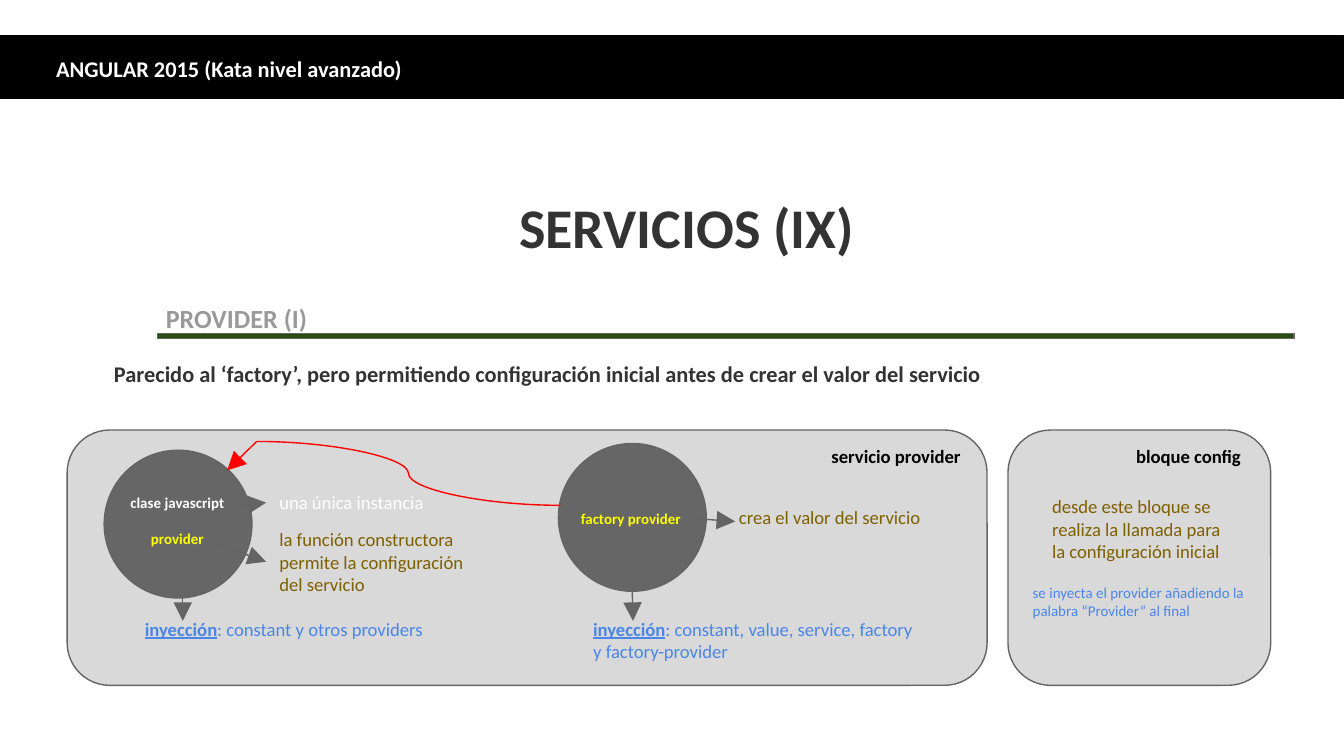
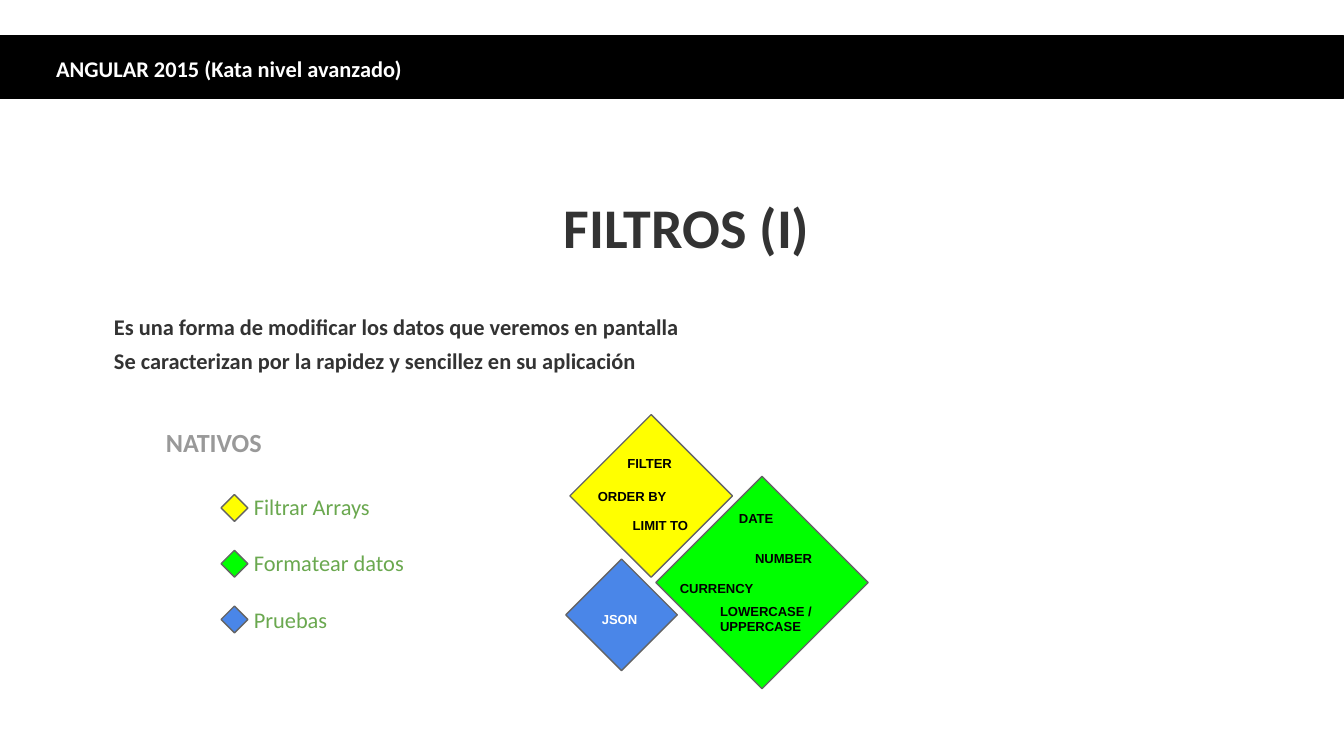
from dataclasses import dataclass, replace
from typing import NamedTuple

from lxml.etree import SubElement
from pptx import Presentation
from pptx.dml.color import RGBColor
from pptx.enum.shapes import MSO_CONNECTOR, MSO_SHAPE
from pptx.enum.text import MSO_ANCHOR, PP_ALIGN
from pptx.oxml.ns import qn
from pptx.util import Inches, Pt

# 16:9 page; every place below is given in columns and rows of a square grid
COLS, ROWS = 100, 56.25
prs = Presentation()
prs.slide_width, prs.slide_height = Inches(10), Inches(10) * 9 // 16

BLACK, WHITE, INK, MUTED = "000000", "FFFFFF", "333333", "999999"
OUTLINE, DISC, PANEL, RULE = "646464", "666666", "D9D9D9", "274E13"
YELLOW, LIME, BLUE, RED = "FFFF00", "00FF00", "4A86E8", "FF0000"
OCHRE, LEAF = "7F6000", "6AA84F"


class Box(NamedTuple):
    col: float
    row: float
    cols: float
    rows: float


class Point(NamedTuple):
    col: float
    row: float


@dataclass(frozen=True)
class Style:
    size: float
    color: str
    bold: bool = False
    font: str = "Calibri"
    align: PP_ALIGN = PP_ALIGN.LEFT
    underline: bool = False
    pad: float = 0.05
    anchor: MSO_ANCHOR = MSO_ANCHOR.TOP
    indent: float = 0


@dataclass(frozen=True)
class Label:
    box: Box
    lines: tuple[str, ...]
    style: Style


@dataclass(frozen=True)
class Diamond:
    col: float
    row: float
    side: float
    color: str


TITLE = Style(30, INK, True, align=PP_ALIGN.CENTER, anchor=MSO_ANCHOR.MIDDLE)
HEADER = Style(12, WHITE, True)
LEAD = Style(12, INK, True)
SECTION = Style(14, MUTED, True)
DISC_NAME = Style(8, WHITE, True, align=PP_ALIGN.CENTER)
DISC_ROLE = replace(DISC_NAME, color=YELLOW)
PANEL_NAME = Style(10, BLACK, True, align=PP_ALIGN.RIGHT)
NOTE = Style(10, OCHRE)
INJECTION = Style(10, BLUE)
LEGEND = Style(12, LEAF, indent=0.5)
TAG = Style(7, BLACK, True, font="Arial", pad=0.1, anchor=MSO_ANCHOR.MIDDLE)


def x(cols: float) -> int:
    return round(prs.slide_width * cols / COLS)


def y(rows: float) -> int:
    return round(prs.slide_height * rows / ROWS)


def rgb(color: str) -> RGBColor:
    return RGBColor.from_string(color)


def place(box: Box) -> tuple[int, int, int, int]:
    return x(box.col), y(box.row), x(box.cols), y(box.rows)


def add_shape(s, kind: MSO_SHAPE, box: Box, fill: str,
              line: str = OUTLINE, width: float = 0.75) -> None:
    sp = s.shapes.add_shape(kind, *place(box))
    sp.shadow.inherit = False
    sp.fill.solid()
    sp.fill.fore_color.rgb = rgb(fill)
    sp.line.color.rgb = rgb(line)
    sp.line.width = Pt(width)


def format_run(r, style: Style) -> None:
    r.font.name, r.font.size = style.font, Pt(style.size)
    r.font.bold, r.font.underline = style.bold, style.underline
    r.font.color.rgb = rgb(style.color)


def add_text(s, label: Label):
    style = label.style
    tf = s.shapes.add_textbox(*place(label.box)).text_frame
    tf.word_wrap = True
    tf.vertical_anchor = style.anchor
    tf.margin_left = tf.margin_right = Inches(0.1)
    tf.margin_top = tf.margin_bottom = Inches(style.pad)
    tf.text = "\n".join(label.lines)
    for p in tf.paragraphs:
        p.alignment = style.align
        if style.indent:
            p._p.get_or_add_pPr().set("indent", str(Inches(style.indent)))
        for r in p.runs:
            format_run(r, style)
    return tf


def add_injection(s, box: Box, rest: str) -> None:
    """Underlined lead word followed by what can be injected."""
    tf = add_text(s, Label(box, ("inyección",),
                           replace(INJECTION, bold=True, underline=True)))
    r = tf.paragraphs[0].add_run()
    r.text = rest
    format_run(r, INJECTION)


def add_line(s, start: Point, end: Point, color: str = OUTLINE,
             kind: MSO_CONNECTOR = MSO_CONNECTOR.STRAIGHT, arrow: bool = True) -> None:
    cx = s.shapes.add_connector(kind, x(start.col), y(start.row), x(end.col), y(end.row))
    cx.line.color.rgb = rgb(color)
    cx.line.width = Pt(0.75)
    if arrow:
        SubElement(cx.line._get_or_add_ln(), qn("a:tailEnd"), type="triangle", w="lg", len="lg")
    SubElement(cx._element.spPr, qn("a:effectLst"))


def add_diamond(s, d: Diamond) -> None:
    add_shape(s, MSO_SHAPE.DIAMOND, Box(d.col, d.row, d.side, d.side), d.color)


def new_slide(title: str):
    """Blank slide with the black band, its header and the title."""
    s = prs.slides.add_slide(prs.slide_layouts[6])
    add_shape(s, MSO_SHAPE.RECTANGLE, Box(0, 2.7, COLS, 4.55), BLACK, BLACK, 1.5)
    add_text(s, Label(Box(3.2, 3.6, 67.6, 2.8), ("ANGULAR 2015 (Kata nivel avanzado)",), HEADER))
    add_text(s, Label(Box(8.6, 13.6, 85, 6.4), (title,), TITLE))
    return s


# Slide 1: provider
s = new_slide("SERVICIOS (IX)")
for panel in (Box(5, 32, 68.45, 19), Box(75, 32, 19.55, 19)):
    add_shape(s, MSO_SHAPE.FLOWCHART_ALTERNATE_PROCESS, panel, PANEL)
add_shape(s, MSO_SHAPE.RECTANGLE, Box(11.7, 24.8, 84.6, 0.4), RULE)
for disc in (Point(7.75, 33.5), Point(41.55, 33)):
    add_shape(s, MSO_SHAPE.OVAL, Box(disc.col, disc.row, 11, 11), DISC)

# Arrows out of the discs
for start, end in (
    (Point(17.1, 37.7), Point(19.8, 37.4)),
    (Point(16.2, 40.5), Point(19.8, 41.8)),
    (Point(51.9, 38.6), Point(54.7, 38.8)),
    (Point(13.6, 43), Point(13.6, 46.2)),
    (Point(47, 42.4), Point(47.1, 46.2)),
):
    add_line(s, start, end)

# Red link from the factory back to the class
bend = Point(19.1, 32.85)
add_line(s, Point(41.7, 37.6), bend, RED, MSO_CONNECTOR.CURVE, arrow=False)
add_line(s, bend, Point(16.9, 35), RED)

for label in (
    Label(Box(11.35, 22, 39.1, 2.8), ("PROVIDER (I)",), SECTION),
    Label(Box(7.5, 26.3, 71.4, 2.8),
          ("Parecido al ‘factory’, pero permitiendo configuración inicial "
           "antes de crear el valor del servicio",), LEAD),
    Label(Box(40.8, 37.45, 12.3, 4.5), ("factory provider",), DISC_ROLE),
    Label(Box(19.8, 36.05, 13.2, 2.8), ("una única instancia",), replace(NOTE, color=WHITE)),
    Label(Box(19.8, 38.8, 15.8, 6.1),
          ("la función constructora ", "permite la configuración ", "del servicio"), NOTE),
    Label(Box(54, 37.15, 15.8, 6.1), ("crea el valor del servicio",), NOTE),
    Label(Box(60.15, 32.6, 12.3, 2.8), ("servicio provider",), PANEL_NAME),
    Label(Box(82.9, 32.6, 10.4, 2.8), ("bloque config",), PANEL_NAME),
    Label(Box(77.3, 36.35, 15.6, 6.1),
          ("desde este bloque se realiza la llamada para la configuración inicial",), NOTE),
    Label(Box(75.85, 42.95, 18.1, 6.1),
          ("se inyecta el provider añadiendo la palabra “Provider” al final",),
          replace(INJECTION, size=8)),
):
    add_text(s, label)

# Class disc: name in white, role in yellow below it
tf = add_text(s, Label(Box(7.05, 36.25, 12.3, 4.5), ("clase javascript", "provider"), DISC_NAME))
role = tf.paragraphs[1]
role.space_before = Pt(9.8)
format_run(role.runs[0], DISC_ROLE)

add_injection(s, Box(9.8, 45.45, 26.5, 3.1), ": constant y otros providers")
add_injection(s, Box(43.15, 45.45, 26.5, 4.5),
              ": constant, value, service, factory y factory-provider")

# Slide 2: filters
s = new_slide("FILTROS (I)")
for i, line in enumerate(("Es una forma de modificar los datos que veremos en pantalla",
                          "Se caracterizan por la rapidez y sencillez en su aplicación")):
    add_text(s, Label(Box(7.5, 22.8 + 2.55 * i, 85, 2.8), (line,), LEAD))
add_text(s, Label(Box(11.35, 31.25, 39.1, 2.8), ("NATIVOS",), SECTION))

# Legend and the diamond of each group
GROUPS = (
    ("Filtrar Arrays", Diamond(42.4, 30.85, 12.1, YELLOW)),
    ("Formatear datos", Diamond(48.8, 35.45, 15.8, LIME)),
    ("Pruebas", Diamond(42.1, 41.6, 8.3, BLUE)),
)
for i, (name, diamond) in enumerate(GROUPS):
    add_text(s, Label(Box(12.9, 36.2 + 4.2 * i, 29.9, 3.9), (name,), LEGEND))
    add_diamond(s, Diamond(16.45, 36.8 + 4.15 * i, 2, diamond.color))
    add_diamond(s, diamond)

# Filter names on the diamonds
for name, col, row, cols in (
    ("FILTER", 45.7, 32.5, 8.3),
    ("ORDER BY", 43.5, 35, 8.3),
    ("LIMIT TO", 46.1, 37.1, 8.3),
    ("DATE", 54, 36.6, 5.6),
    ("NUMBER", 55.2, 39.6, 8.3),
    ("CURRENCY", 49.6, 41.8, 9.7),
    ("LOWERCASE / UPPERCASE", 52.6, 44.1, 9.7),
):
    add_text(s, Label(Box(col, row, cols, 3.9), (name,), TAG))
add_text(s, Label(Box(43.8, 44.1, 8.3, 3.9), ("JSON",), replace(TAG, color=WHITE)))

prs.save("out.pptx")
